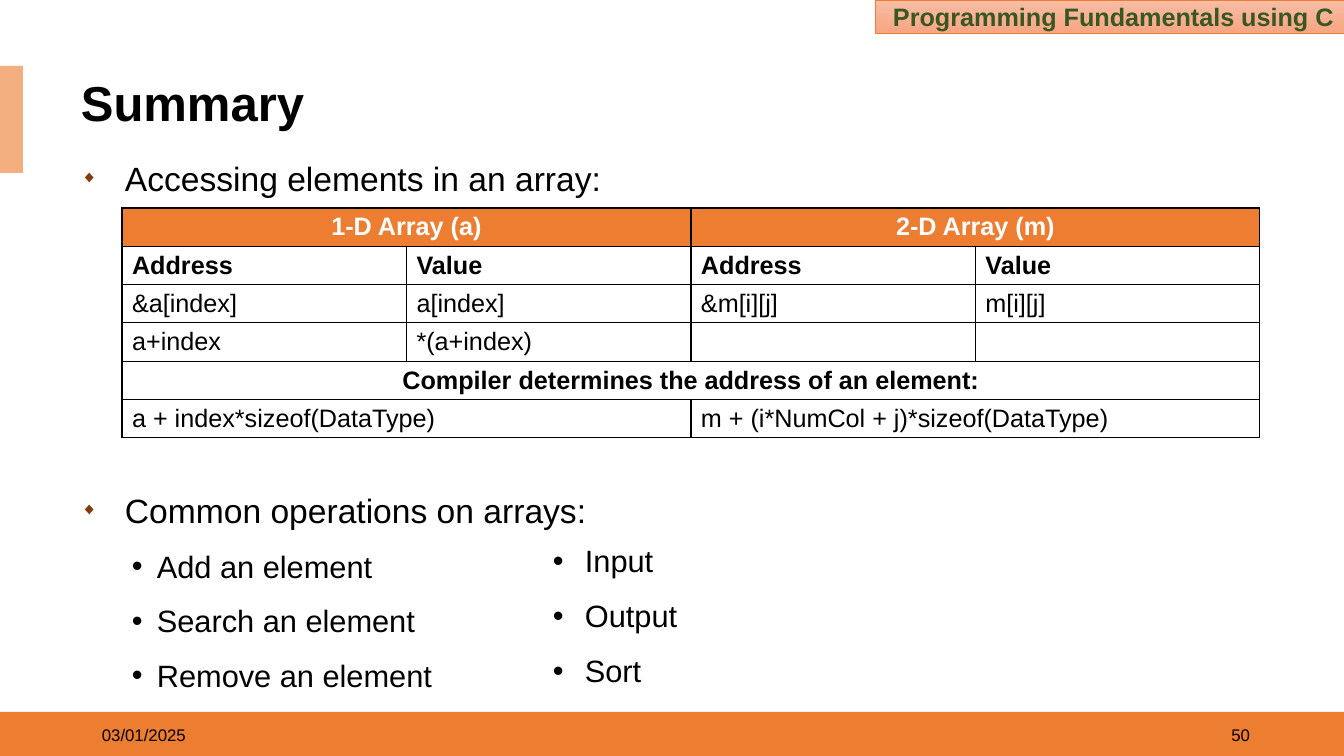
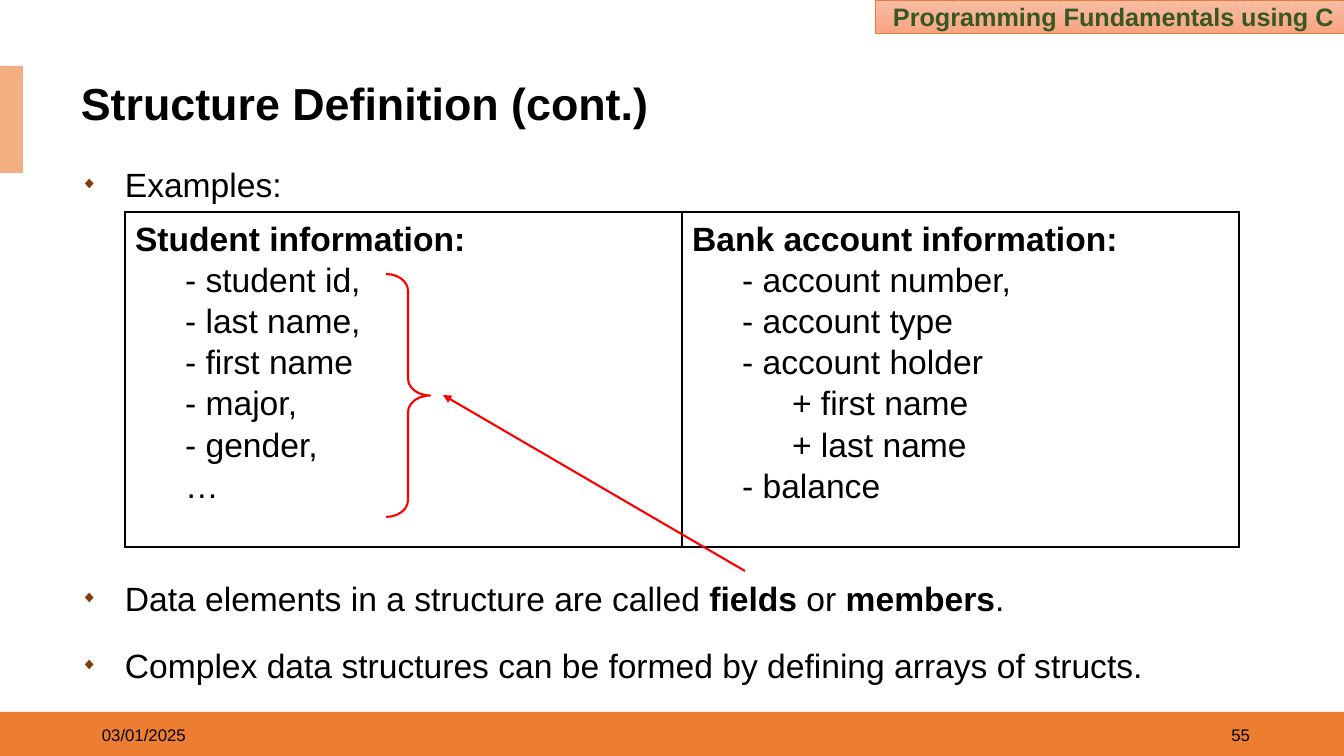
import pptx
import pptx.util
import pptx.dml.color
import pptx.enum.shapes
import pptx.enum.text
import pptx.oxml
import pptx.oxml.ns

SHAPE = pptx.enum.shapes.MSO_SHAPE
ALIGN = pptx.enum.text.PP_ALIGN
ANCHOR = pptx.enum.text.MSO_ANCHOR
NS = pptx.oxml.ns.nsdecls("a")
FONT = "Arial"
C = {"orange": "ED7D31", "tab": "F4AF80", "head_top": "F7BDA5",
     "head_bottom": "F8A582", "green": "385723", "brown": "843C0B",
     "black": "000000", "white": "FFFFFF", "red": "FF0000"}

# Content
COURSE = "Programming Fundamentals using C"
DATE = "03/01/2025"

# Each row lists (text, columns spanned)
ACCESS_ROWS = [
    [("1-D Array (a)", 2), ("2-D Array (m)", 2)],
    [("Address", 1), ("Value", 1), ("Address", 1), ("Value", 1)],
    [("&a[index]", 1), ("a[index]", 1), ("&m[i][j]", 1), ("m[i][j]", 1)],
    [("a+index", 1), ("*(a+index)", 1), ("", 1), ("", 1)],
    [("Compiler determines the address of an element:", 4)],
    [("a + index*sizeof(DataType)", 2),
     ("m + (i*NumCol + j)*sizeof(DataType)", 2)],
]
BOLD_ROWS, CENTRED_ROWS = (0, 1, 4), (0, 4)
ELEMENT_OPS = ["Add an element", "Search an element", "Remove an element"]
OTHER_OPS = ["Input", "Output", "Sort"]

# Each example lists (text, indent level)
EXAMPLES = [
    [("Student information:", 0), ("- student id,", 1), ("- last name,", 1),
     ("- first name", 1), ("- major,", 1), ("- gender,", 1), ("…", 1)],
    [("Bank account information:", 0), ("- account number,", 1),
     ("- account type", 1), ("- account holder", 1), ("+ first name", 2),
     ("+ last name", 2), ("- balance", 1)],
]
NOTES = [
    [("Data elements in a structure are called ", False), ("fields", True),
     (" or ", False), ("members", True), (".", False)],
    "Complex data structures can be formed by defining arrays of structs.",
]

# Paragraph formats
POINT = dict(size=24, spacing=pptx.util.Pt(38), before=10, left=44, hang=44,
             bullet="◆", bullet_color="brown", bullet_size=50)
SUBPOINT = dict(size=22, spacing=pptx.util.Pt(34), before=5, left=76, hang=25,
                bullet="•")
SIDE_POINT = dict(size=22, spacing=pptx.util.Pt(39.3), left=32, hang=32,
                  bullet="•")


def px(n):
    return pptx.util.Emu(round(n * 914400 / 100.8))


def rgb(name):
    return pptx.dml.color.RGBColor.from_string(C[name])


def write(tf, text, size=18, color="black", bold=False, align=ALIGN.LEFT,
          spacing=None, before=0, left=0, hang=0, bullet=None,
          bullet_color="black", bullet_size=100):
    """Add one paragraph; text is a string or a list of (text, bold) runs."""
    first = len(tf.paragraphs) == 1 and not tf.paragraphs[0].runs
    p = tf.paragraphs[0] if first else tf.add_paragraph()
    pPr = p._p.get_or_add_pPr()
    pPr.set("marL", str(px(left)))
    pPr.set("indent", str(-px(hang)))
    if bullet:
        for tag in (f'<a:buClr {NS}><a:srgbClr val="{C[bullet_color]}"/></a:buClr>',
                    f'<a:buSzPct {NS} val="{bullet_size * 1000}"/>',
                    f'<a:buFont {NS} typeface="{FONT}"/>',
                    f'<a:buChar {NS} char="{bullet}"/>'):
            pPr.append(pptx.oxml.parse_xml(tag))
    p.alignment = align
    if spacing:
        p.line_spacing = spacing
    p.space_before = pptx.util.Pt(0 if first else before)
    for part, strong in [(text, bold)] if isinstance(text, str) else text:
        r = p.add_run()
        r.text = part
        r.font.name, r.font.size, r.font.bold = FONT, pptx.util.Pt(size), strong
        r.font.color.rgb = rgb(color)


def text_box(s, x, y, w, h, paras, anchor=ANCHOR.TOP):
    """Paras is a list of (text, format) pairs."""
    tf = s.shapes.add_textbox(px(x), px(y), px(w), px(h)).text_frame
    tf.word_wrap = True
    tf.vertical_anchor = anchor
    for text, fmt in paras:
        write(tf, text, **fmt)


def shape(s, kind, x, y, w, h, fill=None, line=None, width=1.0):
    sp = s.shapes.add_shape(kind, px(x), px(y), px(w), px(h))
    sp.shadow.inherit = False
    if fill:
        sp.fill.solid()
        sp.fill.fore_color.rgb = rgb(fill)
    else:
        sp.fill.background()
    if line:
        sp.line.color.rgb = rgb(line)
        sp.line.width = pptx.util.Pt(width)
    else:
        sp.line.fill.background()
    return sp


def table(s, x, y, w, h, rows, cols):
    tbl = s.shapes.add_table(rows, cols, px(x), px(y), px(w), px(h)).table
    tbl.first_row = tbl.horz_banding = False
    for cell in tbl.iter_cells():
        cell.fill.background()
        cell.margin_bottom = px(3)
        tcPr = cell._tc.get_or_add_tcPr()
        for i, side in enumerate("LRTB"):
            tcPr.insert(i, pptx.oxml.parse_xml(
                f'<a:ln{side} {NS} w="12700"><a:solidFill><a:srgbClr '
                f'val="{C["black"]}"/></a:solidFill></a:ln{side}>'))
    return tbl


def new_slide(prs, title, title_size, number):
    """Blank slide with the shared bands, title and footer."""
    s = prs.slides.add_slide(prs.slide_layouts[6])
    shape(s, SHAPE.RECTANGLE, 0, 712, 1344, 44, "orange")
    shape(s, SHAPE.RECTANGLE, 0, 66, 23, 107, "tab")
    head = shape(s, SHAPE.RECTANGLE, 875, 0, 469, 33, line="orange", width=0.5)
    head.fill.gradient()
    head.fill.gradient_angle = 270
    for stop, name in zip(head.fill.gradient_stops, ("head_top", "head_bottom")):
        stop.color.rgb = rgb(name)
    head.text_frame.vertical_anchor = ANCHOR.MIDDLE
    write(head.text_frame, COURSE, color="green", bold=True, align=ALIGN.RIGHT)
    text_box(s, 71, 80, 1222, 51,
             [(title, dict(size=title_size, bold=True, spacing=0.9))], ANCHOR.MIDDLE)
    for x, text, align in ((92, DATE, ALIGN.LEFT), (958, number, ALIGN.RIGHT)):
        text_box(s, x, 715, 302, 40, [(text, dict(size=12, align=align))],
                 ANCHOR.MIDDLE)
    return s


def summary_slide(prs):
    s = new_slide(prs, "Summary", 35, "50")
    text_box(s, 71, 140, 1222, 62, [("Accessing elements in an array:", POINT)])

    # Table of array access
    tbl = table(s, 122, 208, 1138, 230, len(ACCESS_ROWS), 4)
    for i, row in enumerate(ACCESS_ROWS):
        col = 0
        for text, span in row:
            cell = tbl.cell(i, col)
            if span > 1:
                cell.merge(tbl.cell(i, col + span - 1))
            if i == 0:
                cell.fill.solid()
                cell.fill.fore_color.rgb = rgb("orange")
            write(cell.text_frame, text, color="black" if i else "white",
                  bold=i in BOLD_ROWS,
                  align=ALIGN.CENTER if i in CENTRED_ROWS else ALIGN.LEFT)
            col += span

    # Heading over two columns of operations
    text_box(s, 71, 472, 1222, 60, [("Common operations on arrays:", POINT)])
    text_box(s, 71, 532, 460, 170, [(op, SUBPOINT) for op in ELEMENT_OPS])
    text_box(s, 543, 519, 643, 175, [(op, SIDE_POINT) for op in OTHER_OPS])


def structure_slide(prs):
    s = new_slide(prs, "Structure Definition (cont.)", 32, "55")
    text_box(s, 71, 146, 1222, 62, [("Examples:", POINT)])

    # Table of examples
    tbl = table(s, 125, 212, 1114, 335, 1, len(EXAMPLES))
    for col, lines in enumerate(EXAMPLES):
        for text, level in lines:
            write(tbl.cell(0, col).text_frame, text, size=24, bold=level == 0,
                  left=50 * level, spacing=1.1)
    text_box(s, 71, 560, 1222, 130, [(note, POINT) for note in NOTES])

    # Arrow from the word "fields" to the brace
    arrow = s.shapes.add_connector(pptx.enum.shapes.MSO_CONNECTOR.STRAIGHT,
                                   px(745), px(571), px(443), px(395))
    arrow.line.color.rgb = rgb("red")
    arrow.line.width = pptx.util.Pt(1.5)
    arrow.line._get_or_add_ln().append(
        pptx.oxml.parse_xml(f'<a:tailEnd {NS} type="triangle"/>'))
    arrow._element.spPr.append(pptx.oxml.parse_xml(f'<a:effectLst {NS}/>'))
    brace = shape(s, SHAPE.RIGHT_BRACE, 386, 274, 44, 243, line="red", width=1.5)
    brace.adjustments[0] = 0.38


def main():
    prs = pptx.Presentation()
    prs.slide_width, prs.slide_height = px(1344), px(756)
    summary_slide(prs)
    structure_slide(prs)
    prs.save("out.pptx")


if __name__ == "__main__":
    main()
